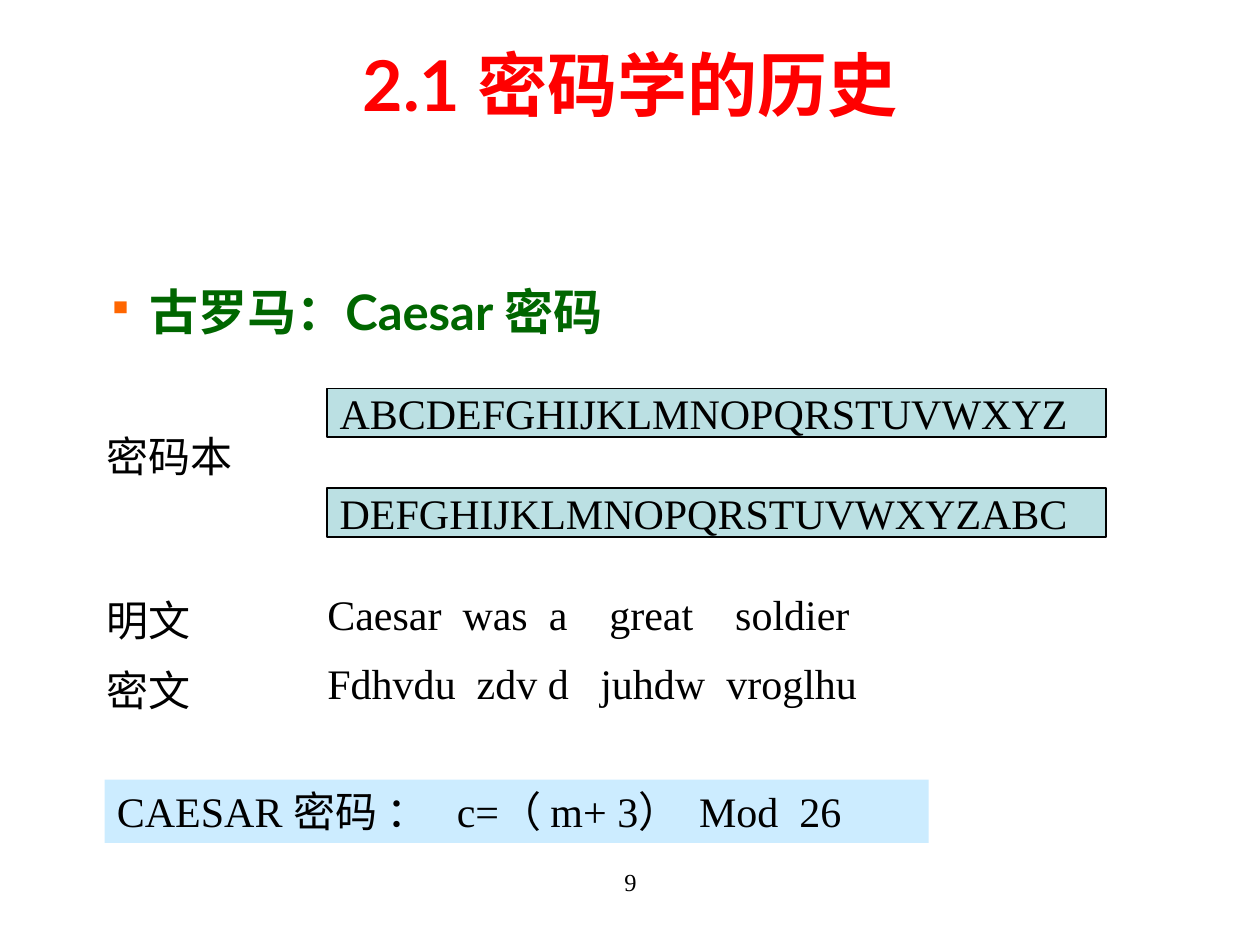
"""Build the slide on the history of cryptography and the Caesar cipher."""
from lxml import etree
from pptx import Presentation, util as u
from pptx.dml.color import RGBColor
from pptx.enum import shapes, text
from pptx.oxml.ns import qn

WIDE, HIGH = 10, 7.5
SERIF = {"name": "Times New Roman", "size": 24, "color": "000000"}
HEAD = {"name": "Lato", "size": 40, "color": "FF0000", "bold": True}
TOPIC = {"name": "Lato", "size": 28, "color": "006600", "bold": True}
MID, TOP = text.MSO_ANCHOR.MIDDLE, text.MSO_ANCHOR.TOP
CODES = ("ABCDEFGHIJKLMNOPQRSTUVWXYZ", "DEFGHIJKLMNOPQRSTUVWXYZABC")
PAIRS = (
    ("明文", "Caesar  was  a    great    soldier"),
    ("密文", "Fdhvdu  zdv d   juhdw  vroglhu"),
)


def shade(code):
    """Turn a hex string into a colour."""
    return RGBColor.from_string(code)


def share(box):
    """Turn percentages of the slide's size into lengths."""
    sides = (WIDE, HIGH, WIDE, HIGH)
    return [u.Inches(part * side / 100) for part, side in zip(box, sides)]


def style(font, form):
    """Set the font attributes held in a dict."""
    for key, val in form.items():
        if key == "color":
            font.color.rgb = shade(val)
        else:
            setattr(font, key, u.Pt(val) if key == "size" else val)


def write(shape, words, form, anchor=TOP, wrap=True, align=text.PP_ALIGN.LEFT):
    """Write one formatted paragraph in a shape and return it."""
    frame = shape.text_frame
    frame.word_wrap, frame.vertical_anchor = wrap, anchor
    para = frame.paragraphs[0]
    para.text, para.alignment = words, align
    style(para.runs[0].font, form)
    return para


def label(slide, box, words, form=SERIF, **opts):
    """Add a text box at the given shares and return its paragraph."""
    return write(slide.shapes.add_textbox(*share(box)), words, form, **opts)


def panel(slide, box, words, fill, edge=None, **opts):
    """Add a filled rectangle that holds one line of text."""
    rect = slide.shapes.add_shape(shapes.MSO_SHAPE.RECTANGLE, *share(box))
    rect.shadow.inherit = False
    rect.fill.solid()
    rect.fill.fore_color.rgb = shade(fill)
    if edge:
        rect.line.color.rgb = shade(edge)
        rect.line.width = u.Pt(1)
    else:
        rect.line.fill.background()
    write(rect, words, SERIF, **opts)


def title(slide, box, words):
    """Move and fill the title placeholder."""
    head = slide.shapes.title
    head.left, head.top, head.width, head.height = share(box)
    write(head, words, HEAD, anchor=MID, align=text.PP_ALIGN.CENTER)


def topic(slide, box, words):
    """Add the bulleted topic line."""
    para = label(slide, box, words, TOPIC)
    para.line_spacing = 1.35
    props = para._p.get_or_add_pPr()
    props.set("marL", str(u.Inches(0.82)))
    props.set("indent", str(u.Inches(-0.34)))
    tint = etree.SubElement(props, qn("a:buClr"))
    etree.SubElement(tint, qn("a:srgbClr"), val="FF6600")
    etree.SubElement(props, qn("a:buSzPct"), val="75000")
    etree.SubElement(props, qn("a:buChar"), char="▪")


def book(slide, box):
    """Add the code book: its label and the two alphabets."""
    left, top, wide, high = box
    label(slide, (left, top + high * 0.24, 13.3, 6.7), "密码本")
    for row, line in enumerate(CODES):
        y = top + row * high * 0.67
        spot = (left + wide * 0.23, y, wide * 0.77, high * 0.33)
        panel(slide, spot, line, "BBE0E3", "000000", anchor=MID, wrap=False)


def sample(slide, box):
    """Add the rows of plain text and cipher text."""
    left, top, wide, high = box
    for row, (name, line) in enumerate(PAIRS):
        y = top + row * high / 2
        label(slide, (left, y, wide * 0.18, 6.7), name)
        label(slide, (left + wide * 0.25, y, wide * 0.75, 5.2), line,
              anchor=MID, wrap=False)


def main():
    """Build and save the slide."""
    deck = Presentation()
    deck.slide_width, deck.slide_height = u.Inches(WIDE), u.Inches(HIGH)
    slide = deck.slides.add_slide(deck.slide_layouts[5])
    title(slide, (0, 4.4, 100, 8.9), "2.1 密码学的历史")
    topic(slide, (2.7, 27, 85, 10.5), "古罗马：Caesar 密码")
    book(slide, (7.5, 41.1, 80.3, 15.7))
    sample(slide, (7.5, 62.3, 70, 14.7))
    panel(slide, (8.3, 82.5, 65.4, 6.7),
          "CAESAR 密码 ：   c=（ m+ 3）  Mod  26", "CCECFF")
    label(slide, (34.2, 91.1, 31.7, 6.7), "9", {**SERIF, "size": 14},
          align=text.PP_ALIGN.CENTER)
    deck.save("out.pptx")


if __name__ == "__main__":
    main()
